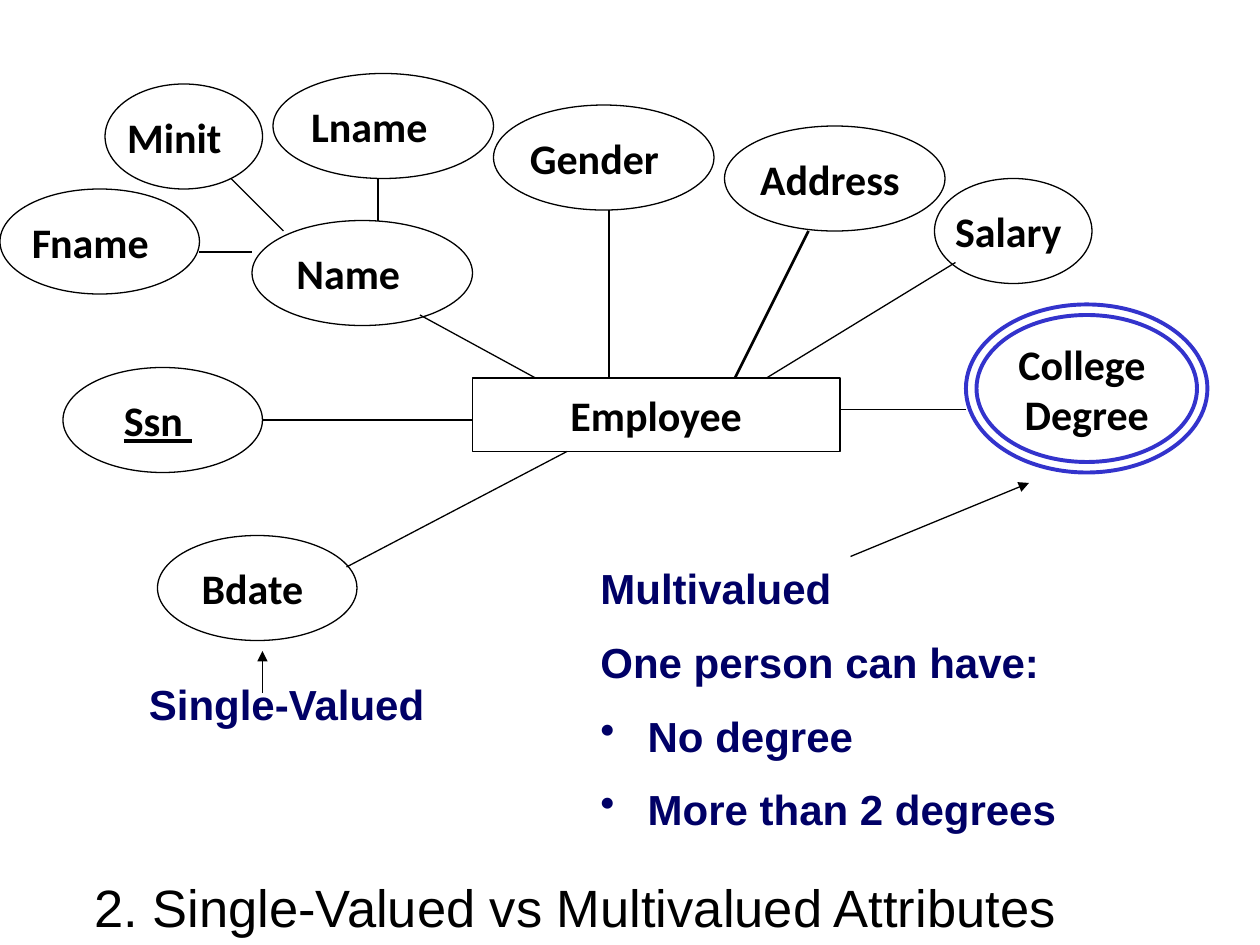
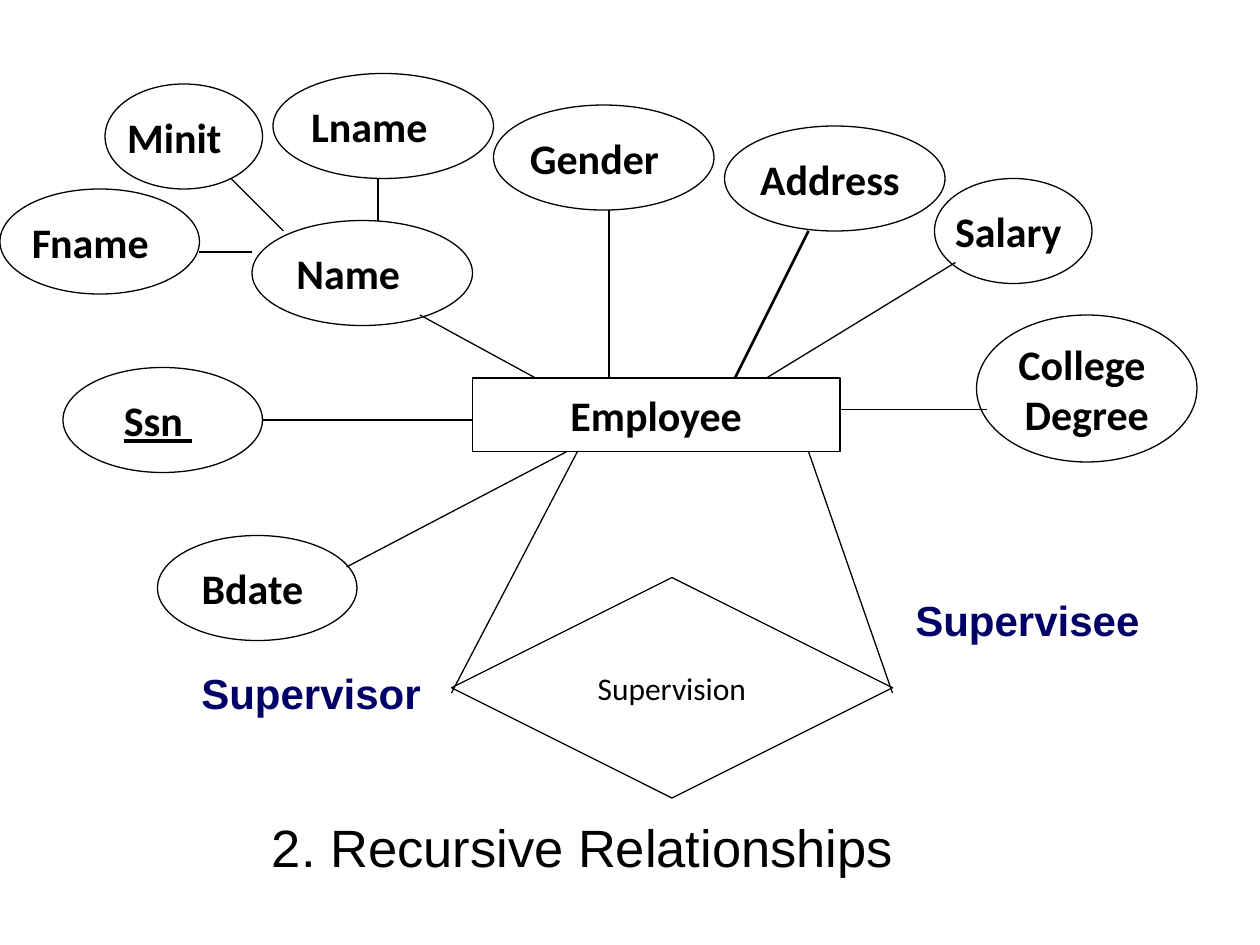
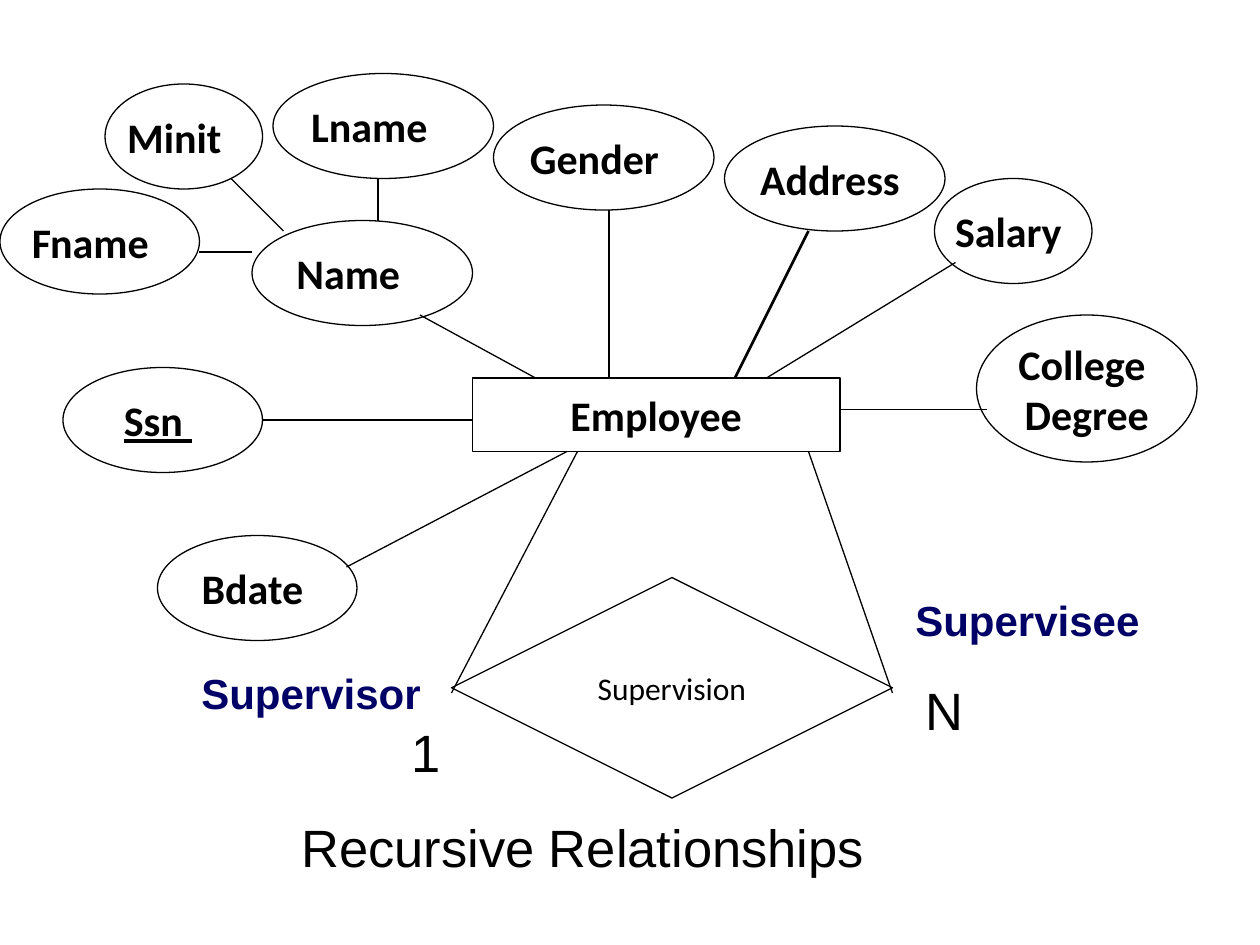
from dataclasses import dataclass

import lxml.etree
import pptx
import pptx.dml.color
import pptx.enum.shapes
import pptx.enum.text
import pptx.oxml.ns
import pptx.util

PX = 9525
COLORS = {"ink": "000000", "navy": "000066", "blue": "3333CC"}
BULLET_INDENT = 36
LINE_GAP = 13.3
SHAPE = pptx.enum.shapes.MSO_SHAPE
ALIGN = pptx.enum.text.PP_ALIGN


@dataclass(frozen=True)
class Node:
    text: str
    x: int
    y: int
    w: int
    h: int
    shift: int = 0
    kind: SHAPE = SHAPE.OVAL
    line: str = "ink"
    width: float = 0.75
    size: int = 24
    bold: bool = True
    underline: bool = False


@dataclass(frozen=True)
class Link:
    x1: int
    y1: int
    x2: int
    y2: int
    width: float = 0.75
    arrow: bool = False


@dataclass(frozen=True)
class Label:
    text: str
    x: int
    y: int
    w: int
    h: int = 48
    size: int = 24
    color: str = "navy"
    bold: bool = True
    align: ALIGN = ALIGN.LEFT
    bullets: int = 0


EMPLOYEE_NODES = [
    Node("Employee", 360, 288, 280, 56, kind=SHAPE.RECTANGLE),
    Node("Salary ", 712, 136, 120, 80),
    Node("Address ", 552, 96, 168, 80),
    Node("Gender ", 376, 80, 168, 80, shift=7),
    Node("Name ", 192, 168, 168, 80, shift=14),
    Node("Lname ", 208, 56, 168, 80, shift=14),
    Node("Minit ", 80, 64, 120, 80, shift=7),
    Node("Fname ", 0, 144, 152, 80, shift=7),
    Node("Ssn ", 48, 280, 152, 80, shift=7, underline=True),
    Node("Bdate ", 120, 408, 152, 80),
]
EMPLOYEE_LINKS = [
    Link(728, 200, 584, 288),
    Link(560, 288, 616, 176, width=1.5),
    Link(464, 160, 464, 288, width=1),
    Link(320, 240, 408, 288),
    Link(288, 136, 288, 168),
    Link(176, 136, 216, 176),
    Link(152, 192, 192, 192),
    Link(200, 320, 360, 320),
    Link(432, 344, 264, 432),
]
SUPERVISION = Node("Supervision", 344, 440, 336, 168,
                   kind=SHAPE.FLOWCHART_DECISION, size=18, bold=False)
SUPERVISION_LINKS = [Link(616, 344, 680, 528), Link(440, 344, 344, 528)]
ROLES = [Label("Supervisee", 688, 448, 248), Label("Supervisor", 144, 504, 192)]


def rgb(name: str) -> pptx.dml.color.RGBColor:
    return pptx.dml.color.RGBColor.from_string(COLORS[name])


def format_runs(p, font: str, size: int, color: str, bold: bool, underline: bool = False) -> None:
    for r in p.runs:
        r.font.name = font
        r.font.size = pptx.util.Pt(size)
        r.font.color.rgb = rgb(color)
        r.font.bold = bold
        r.font.underline = underline


def add_node(s, node: Node) -> None:
    sp = s.shapes.add_shape(node.kind, node.x * PX, node.y * PX, node.w * PX, node.h * PX)
    sp.shadow.inherit = False
    sp.fill.background()
    sp.line.color.rgb = rgb(node.line)
    sp.line.width = pptx.util.Pt(node.width)
    if not node.text:
        return
    tf = sp.text_frame
    tf.word_wrap = False
    tf.vertical_anchor = pptx.enum.text.MSO_ANCHOR.MIDDLE
    tf.margin_left = tf.margin_top = tf.margin_bottom = 0
    tf.margin_right = node.shift * PX
    tf.text = node.text
    for p in tf.paragraphs:
        p.alignment = ALIGN.CENTER
        format_runs(p, "Calibri", node.size, "ink", node.bold, node.underline)


def add_link(s, link: Link) -> None:
    cx = s.shapes.add_connector(pptx.enum.shapes.MSO_CONNECTOR.STRAIGHT,
                                link.x1 * PX, link.y1 * PX, link.x2 * PX, link.y2 * PX)
    cx.line.color.rgb = rgb("ink")
    cx.line.width = pptx.util.Pt(link.width)
    if link.arrow:
        ln = cx.line._get_or_add_ln()
        lxml.etree.SubElement(ln, pptx.oxml.ns.qn("a:tailEnd"), type="triangle")
    lxml.etree.SubElement(cx._element.spPr, pptx.oxml.ns.qn("a:effectLst"))


def add_bullet(p) -> None:
    pPr = p._p.get_or_add_pPr()
    pPr.set("marL", str(BULLET_INDENT * PX))
    pPr.set("indent", str(-BULLET_INDENT * PX))
    lxml.etree.SubElement(pPr, pptx.oxml.ns.qn("a:buChar"), char="•")


def add_label(s, label: Label) -> None:
    sp = s.shapes.add_textbox(label.x * PX, label.y * PX, label.w * PX, label.h * PX)
    tf = sp.text_frame
    tf.word_wrap = True
    tf.auto_size = pptx.enum.text.MSO_AUTO_SIZE.SHAPE_TO_FIT_TEXT
    tf.text = label.text
    first_bullet = len(tf.paragraphs) - label.bullets
    for i, p in enumerate(tf.paragraphs):
        if i >= first_bullet:
            add_bullet(p)
        if i:
            p.space_before = pptx.util.Pt(LINE_GAP)
        p.alignment = label.align
        format_runs(p, "Arial", label.size, label.color, label.bold)


def add_title(s, text: str, y: int) -> None:
    add_label(s, Label(text, 32, y, 824, 58, size=30, color="ink", bold=False,
                       align=ALIGN.CENTER))


def add_employee_slide(prs, title: str, title_y: int, degree_link_end: int,
                       degree_line: str = "ink", degree_width: float = 0.75):
    s = prs.slides.add_slide(prs.slide_layouts[6])
    for node in EMPLOYEE_NODES:
        add_node(s, node)
    for link in EMPLOYEE_LINKS:
        add_link(s, link)
    add_title(s, title, title_y)
    add_node(s, Node("College \nDegree", 744, 240, 168, 112,
                     line=degree_line, width=degree_width))
    add_link(s, Link(640, 312, degree_link_end, 312))
    return s


def add_multivalued_slide(prs) -> None:
    s = add_employee_slide(prs, "2. Single-Valued vs Multivalued Attributes ", 662, 736,
                           "blue", 2.25)
    add_link(s, Link(648, 424, 784, 368, arrow=True))
    add_label(s, Label("Multivalued\nOne person can have:\nNo degree\nMore than 2 degrees",
                       448, 424, 512, 221, bullets=2))
    add_label(s, Label("Single-Valued", 104, 512, 272))
    add_link(s, Link(200, 528, 200, 496, arrow=True))
    add_node(s, Node("", 736, 232, 184, 128, line="blue", width=2.25))


def add_recursive_slide(prs, title: str):
    s = add_employee_slide(prs, title, 616, 752)
    add_node(s, SUPERVISION)
    for link in SUPERVISION_LINKS:
        add_link(s, link)
    for role in ROLES:
        add_label(s, role)
    return s


def main() -> None:
    prs = pptx.Presentation()
    prs.slide_width = 960 * PX
    prs.slide_height = 720 * PX
    add_multivalued_slide(prs)
    add_recursive_slide(prs, "2. Recursive Relationships")
    s = add_recursive_slide(prs, "Recursive Relationships")
    for text, x, y, w in [("N", 696, 512, 96), ("1", 304, 544, 88)]:
        add_label(s, Label(text, x, y, w, 58, size=30, color="ink", bold=False))
    prs.save("out.pptx")


if __name__ == "__main__":
    main()
